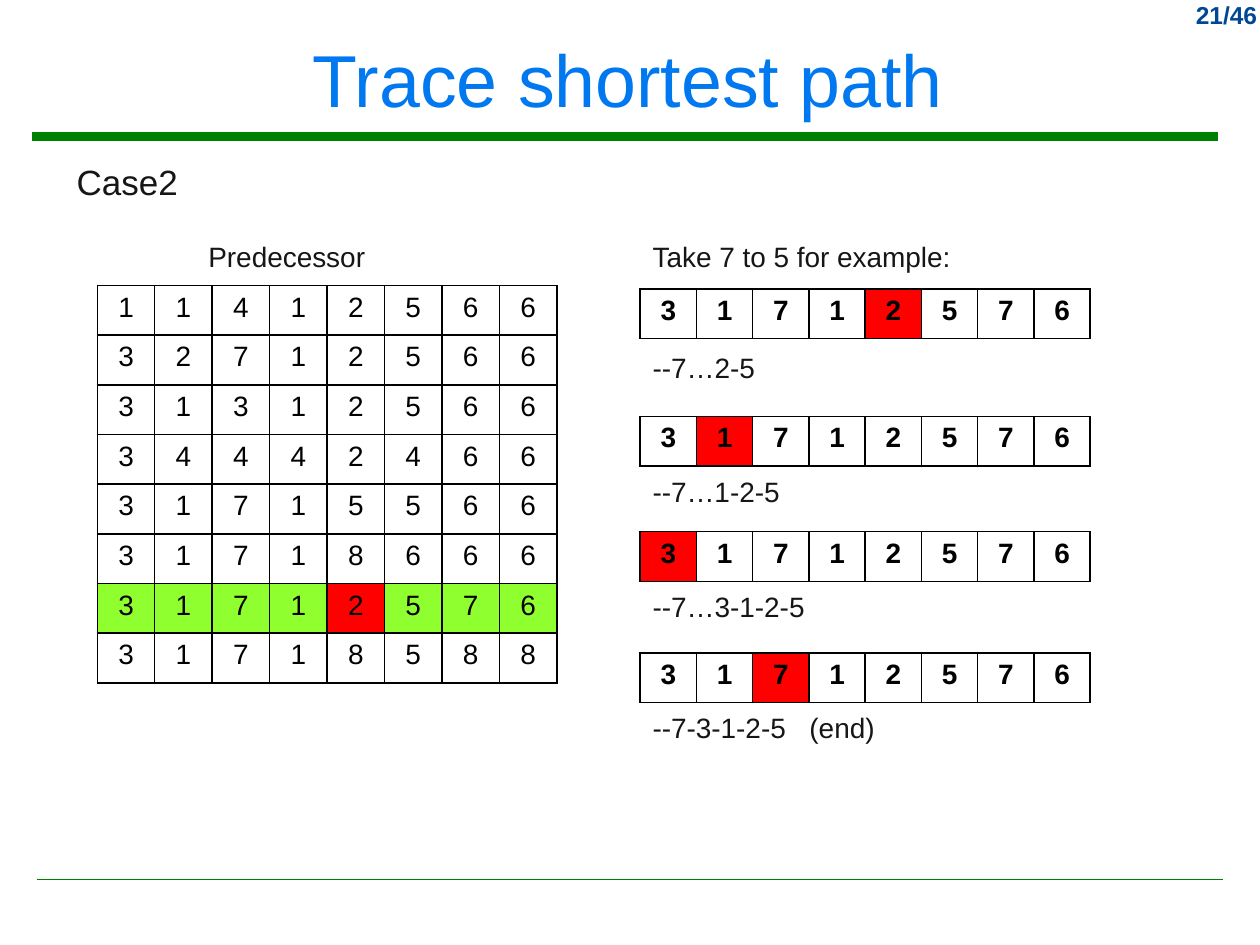
from lxml import etree
from pptx import Presentation
from pptx.dml.color import RGBColor
from pptx.enum.shapes import MSO_CONNECTOR
from pptx.enum.text import MSO_ANCHOR, PP_ALIGN
from pptx.oxml.ns import qn
from pptx.util import Pt

STRAIGHT = MSO_CONNECTOR.STRAIGHT
MIDDLE, TOP = MSO_ANCHOR.MIDDLE, MSO_ANCHOR.TOP
LEFT, CENTER, RIGHT = PP_ALIGN.LEFT, PP_ALIGN.CENTER, PP_ALIGN.RIGHT

BLACK = RGBColor(0x00, 0x00, 0x00)
INK = RGBColor(0x16, 0x16, 0x16)
TITLE_BLUE = RGBColor(0x00, 0x78, 0xF0)
NAVY = RGBColor(0x00, 0x49, 0x92)
RULE_GREEN = RGBColor(0x00, 0x80, 0x00)
ROW_GREEN = RGBColor(0x8F, 0xFF, 0x30)
RED = RGBColor(0xFF, 0x00, 0x00)

FONT = "Arial"
ROW_HEIGHT = 28.4
TRACE_LEFT = 365.8
END_TAB = 89.7

PREDECESSORS = ["11412566", "32712566", "31312566", "34442466",
                "31715566", "31718666", "31712576", "31718588"]
START_ROW = 6  # predecessors of vertex 7
TARGET_COLUMN = 4  # vertex 5

# table top, highlighted column, caption top, caption width, caption
TRACE_STEPS = [
    (165, 4, 196.5, 74, "--7…2-5"),
    (238, 1, 267.8, 88.5, "--7…1-2-5"),
    (303.8, 0, 333.4, 121, "--7…3-1-2-5"),
    (373, 2, 402.5, 161.3, "--7-3-1-2-5\t(end)"),
]


def style_paragraph(para, size, color, align=LEFT, bold=False):
    para.alignment = align
    para.font.name = FONT
    para.font.size = Pt(size)
    para.font.bold = bold
    para.font.color.rgb = color


def add_text(slide, left, top, width, height, text, size=16, color=INK,
             align=LEFT, bold=False, anchor=TOP, wrap=False):
    box = slide.shapes.add_textbox(Pt(left), Pt(top), Pt(width), Pt(height))
    frame = box.text_frame
    frame.word_wrap = wrap
    frame.vertical_anchor = anchor
    para = frame.paragraphs[0]
    para.text = text
    if "\t" in text:
        add_tab_stop(para, END_TAB)
    style_paragraph(para, size, color, align, bold)


def add_tab_stop(para, position):
    properties = para._p.get_or_add_pPr()
    tabs = etree.SubElement(properties, qn("a:tabLst"))
    etree.SubElement(tabs, qn("a:tab"), pos=str(int(Pt(position))), algn="l")


def add_rule(slide, left, right, y, weight):
    rule = slide.shapes.add_connector(STRAIGHT, Pt(left), Pt(y), Pt(right), Pt(y))
    rule.line.color.rgb = RULE_GREEN
    rule.line.width = Pt(weight)
    etree.SubElement(rule._element.spPr, qn("a:effectLst"))


def add_borders(cell):
    properties = cell._tc.get_or_add_tcPr()
    for side in ("lnL", "lnR", "lnT", "lnB"):
        line = etree.SubElement(properties, qn(f"a:{side}"), w=str(int(Pt(1))))
        fill = etree.SubElement(line, qn("a:solidFill"))
        etree.SubElement(fill, qn("a:srgbClr"), val=str(BLACK))


def add_digit_table(slide, left, top, column_width, rows, fills, bold=False):
    """Draw one digit per cell; fills maps (row, column) to a colour."""
    columns = len(rows[0])
    table = slide.shapes.add_table(
        len(rows), columns, Pt(left), Pt(top),
        Pt(column_width * columns), Pt(ROW_HEIGHT * len(rows))).table
    table.first_row = False
    table.horz_banding = False
    for column in table.columns:
        column.width = Pt(column_width)
    for row_index, digits in enumerate(rows):
        table.rows[row_index].height = Pt(ROW_HEIGHT)
        for column_index, digit in enumerate(digits):
            cell = table.cell(row_index, column_index)
            cell.text = digit
            style_paragraph(cell.text_frame.paragraphs[0], 16, BLACK, CENTER, bold)
            add_borders(cell)
            color = fills.get((row_index, column_index))
            if color is None:
                cell.fill.background()
            else:
                cell.fill.solid()
                cell.fill.fore_color.rgb = color


def add_predecessor_matrix(slide):
    add_text(slide, 112, 133.2, 105, 26.6, "Predecessor")
    fills = {(START_ROW, column): ROW_GREEN for column in range(8)}
    fills[START_ROW, TARGET_COLUMN] = RED
    add_digit_table(slide, 55.6, 163.2, 32.85, PREDECESSORS, fills)


def add_trace(slide):
    add_text(slide, TRACE_LEFT, 133.2, 187, 26.6, "Take 7 to 5 for example:")
    for table_top, column, caption_top, width, caption in TRACE_STEPS:
        add_digit_table(slide, TRACE_LEFT, table_top, 32.15,
                        [PREDECESSORS[START_ROW]], {(0, column): RED}, bold=True)
        add_text(slide, TRACE_LEFT, caption_top, width, 26.6, caption)


def main():
    deck = Presentation()
    deck.slide_width, deck.slide_height = Pt(720), Pt(540)
    slide = deck.slides.add_slide(deck.slide_layouts[6])
    add_rule(slide, 18, 696, 78, 5.25)
    add_rule(slide, 21, 699, 502.5, 1)
    add_text(slide, 660, -3.5, 65.5, 24, "21/46", 14, NAVY, RIGHT, True, wrap=True)
    add_text(slide, 6, 6.5, 705.5, 76.5, "Trace shortest path", 42, TITLE_BLUE,
             CENTER, anchor=MIDDLE, wrap=True)
    add_text(slide, 36.7, 88, 73, 31.5, "Case2", 20)
    add_predecessor_matrix(slide)
    add_trace(slide)
    deck.save("out.pptx")


if __name__ == "__main__":
    main()
